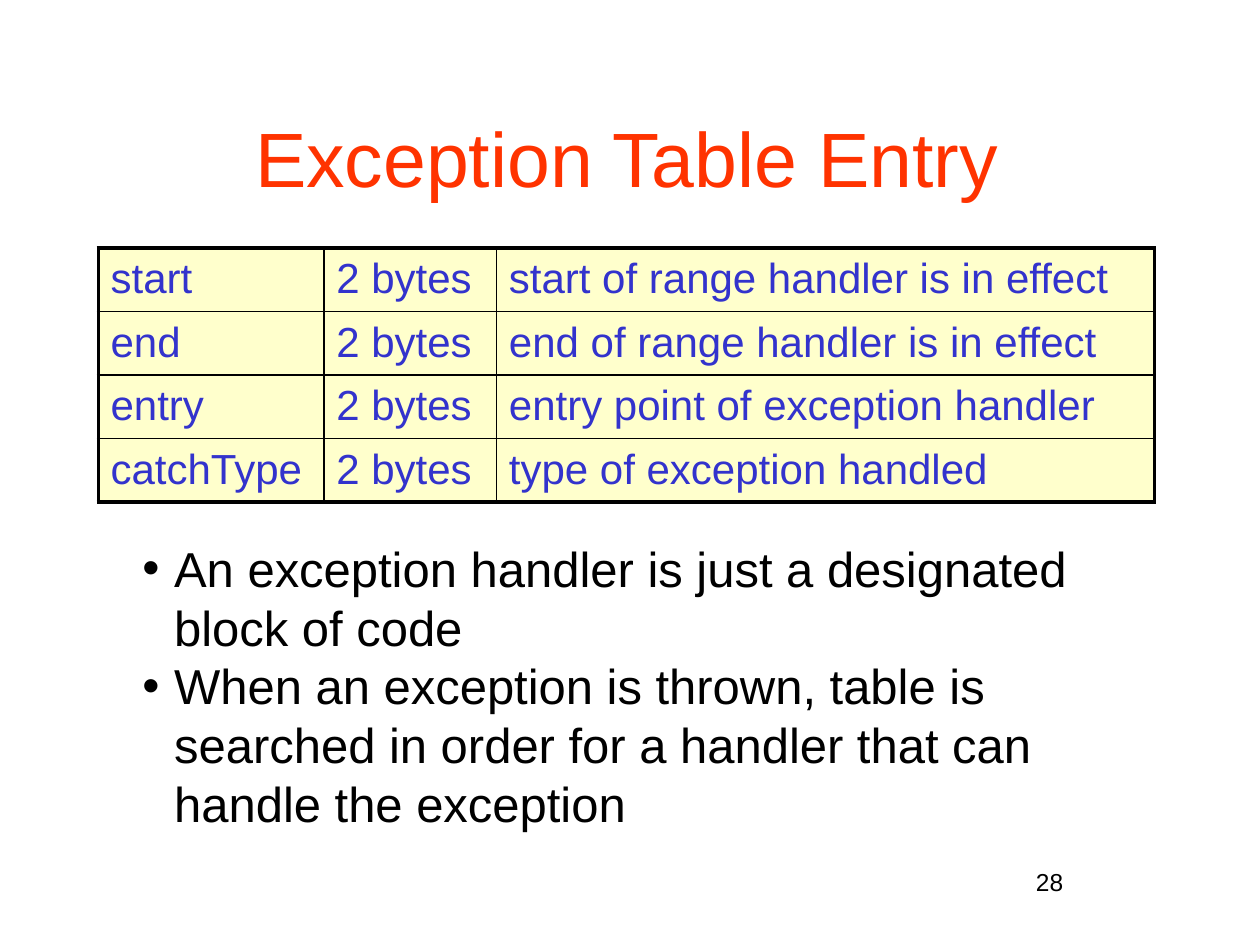
from pptx import Presentation
from pptx.dml.color import RGBColor as Rgb
from pptx.enum.text import MSO_ANCHOR as Anchor, MSO_AUTO_SIZE as Fit, PP_ALIGN as Align
from pptx.oxml import parse_xml
from pptx.oxml.ns import nsdecls
from pptx.util import Cm, Pt

TITLE = "Exception Table Entry"
FIELDS = [
    ("start", "2 bytes", "start of range handler is in effect"),
    ("end", "2 bytes", "end of range handler is in effect"),
    ("entry", "2 bytes", "entry point of exception handler"),
    ("catchType", "2 bytes", "type of exception handled"),
]
POINTS = [
    "An exception handler is just a designated block of code",
    "When an exception is thrown, table is searched in order "
    "for a handler that can handle the exception",
]
NUMBER = "28"
WIDTHS = [4.55, 3.48, 13.26]
ROW = 1.28
BLACK, RED, BLUE, CREAM = "000000", "FF3300", "3333CC", "FFFFCC"
THIN, THICK = 1, 2.25


def style(para, size, color):
    for run in para.runs:
        run.font.name = "Arial"
        run.font.size = Pt(size)
        run.font.color.rgb = Rgb.from_string(color)


def indent(para, left, first=0):
    props = para._p.get_or_add_pPr()
    props.set("marL", str(Cm(left)))
    props.set("indent", str(Cm(first)))
    return props


def pad(box, left, top, right, bottom):
    box.margin_left, box.margin_top = Cm(left), Cm(top)
    box.margin_right, box.margin_bottom = Cm(right), Cm(bottom)


def place(shape, left, top, width, height):
    shape.left, shape.top = Cm(left), Cm(top)
    shape.width, shape.height = Cm(width), Cm(height)


def border(cell, side, width):
    cell._tc.get_or_add_tcPr().append(parse_xml(
        f'<a:ln{side} {nsdecls("a")} w="{Pt(width)}"><a:solidFill>'
        f'<a:srgbClr val="{BLACK}"/></a:solidFill></a:ln{side}>'))


def bullet(para):
    props = indent(para, 0.74, -0.64)
    for tag in (f'<a:buClr {nsdecls("a")}><a:srgbClr val="{BLACK}"/></a:buClr>',
                f'<a:buFont {nsdecls("a")} typeface="Arial"/>',
                f'<a:buChar {nsdecls("a")} char="•"/>'):
        props.append(parse_xml(tag))


def add_title(slide):
    title = slide.shapes.title
    place(title, 1.9, 0.84, 21.59, 4.65)
    frame = title.text_frame
    frame.text = TITLE
    frame.auto_size = Fit.NONE
    frame.vertical_anchor = Anchor.MIDDLE
    pad(frame, 0.16, 0.16, 0.36, 0.16)
    para = frame.paragraphs[0]
    para.alignment = Align.CENTER
    indent(para, 0.09)
    style(para, 44, RED)


def add_fields(slide):
    rows, cols = len(FIELDS), len(WIDTHS)
    table = slide.shapes.add_table(
        rows, cols, Cm(1.98), Cm(5), Cm(sum(WIDTHS)), Cm(rows * ROW)).table
    table.first_row = table.horz_banding = False
    for col, width in zip(table.columns, WIDTHS):
        col.width = Cm(width)
    for r, field in enumerate(FIELDS):
        for c, text in enumerate(field):
            cell = table.cell(r, c)
            cell.text = text
            pad(cell, 0.16, 0.16, 0.16, 0.16)
            outer = {"L": c == 0, "R": c == cols - 1, "T": r == 0, "B": r == rows - 1}
            for side, edge in outer.items():
                border(cell, side, THICK if edge else THIN)
            cell.fill.solid()
            cell.fill.fore_color.rgb = Rgb.from_string(CREAM)
            para = cell.text_frame.paragraphs[0]
            indent(para, 0.09)
            style(para, 24, BLUE)


def add_points(slide):
    body = slide.placeholders[1]
    place(body, 2.77, 10.85, 19.68, 5.89)
    frame = body.text_frame
    frame.text = "\n".join(POINTS)
    frame.auto_size = Fit.NONE
    pad(frame, 0, 0, 0.1, 0)
    for para in frame.paragraphs:
        bullet(para)
        para.space_before = Pt(0)
        para.line_spacing = 1.0
        style(para, 28, BLACK)


def add_number(slide):
    box = slide.shapes.add_textbox(Cm(20.73), Cm(17.35), Cm(0.86), Cm(0.84))
    frame = box.text_frame
    frame.text = NUMBER
    frame.word_wrap = False
    pad(frame, 0, 0.13, 0, 0.13)
    para = frame.paragraphs[0]
    para.alignment = Align.CENTER
    style(para, 14, BLACK)


def main():
    deck = Presentation()
    deck.slide_width, deck.slide_height = Cm(25.4), Cm(19.05)
    slide = deck.slides.add_slide(deck.slide_layouts[1])
    add_title(slide)
    add_fields(slide)
    add_points(slide)
    add_number(slide)
    deck.save("out.pptx")


if __name__ == "__main__":
    main()
